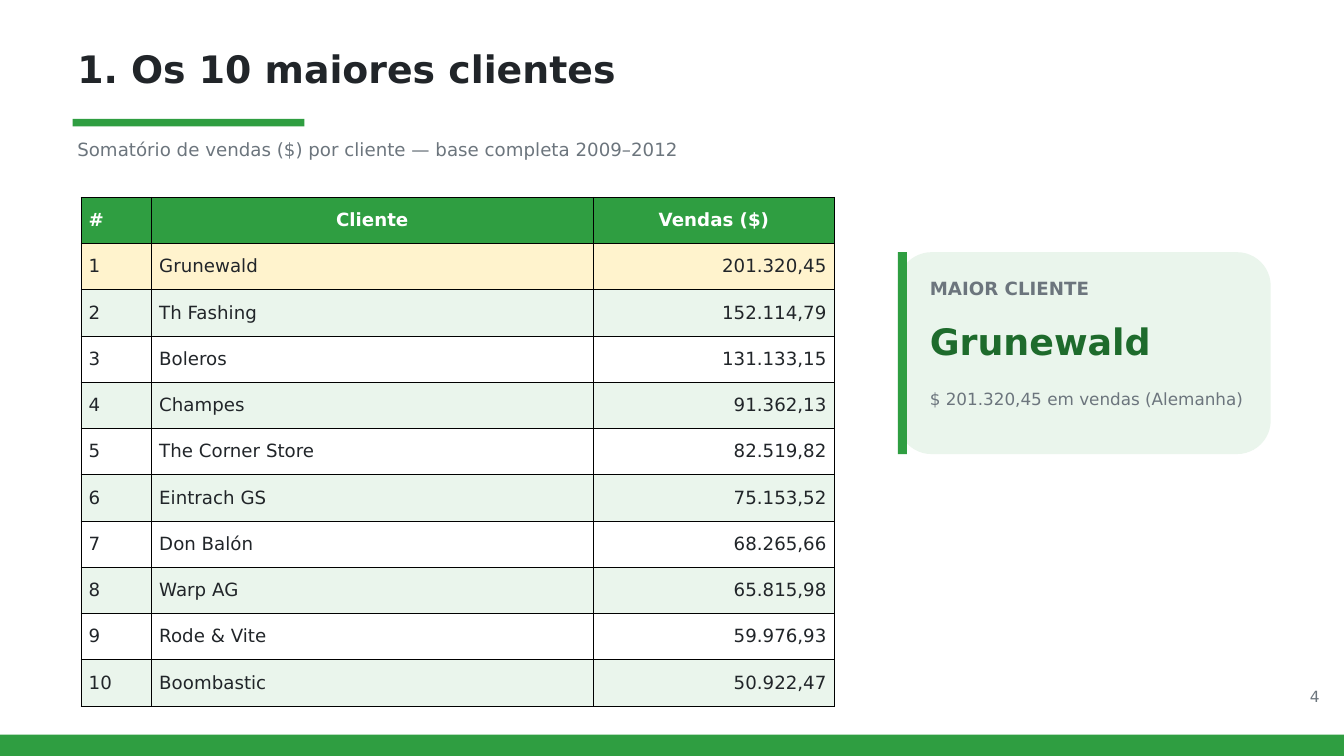
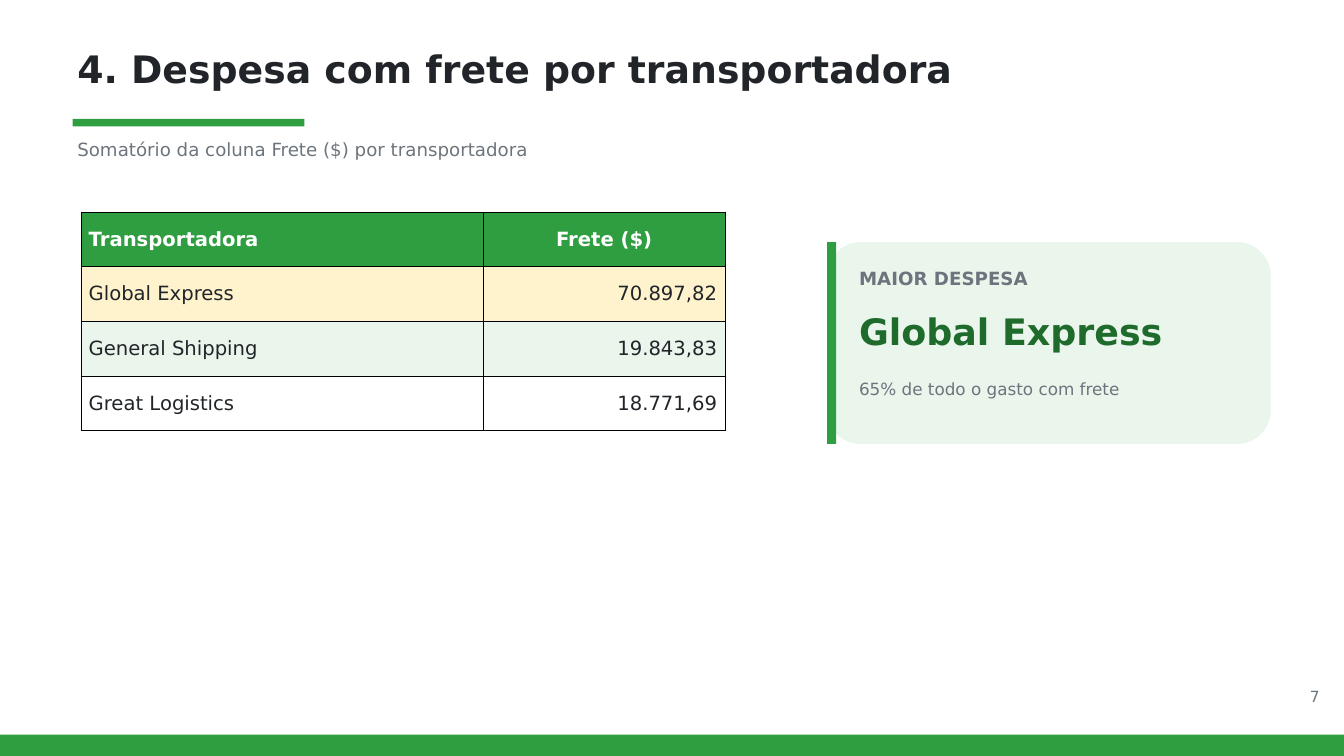
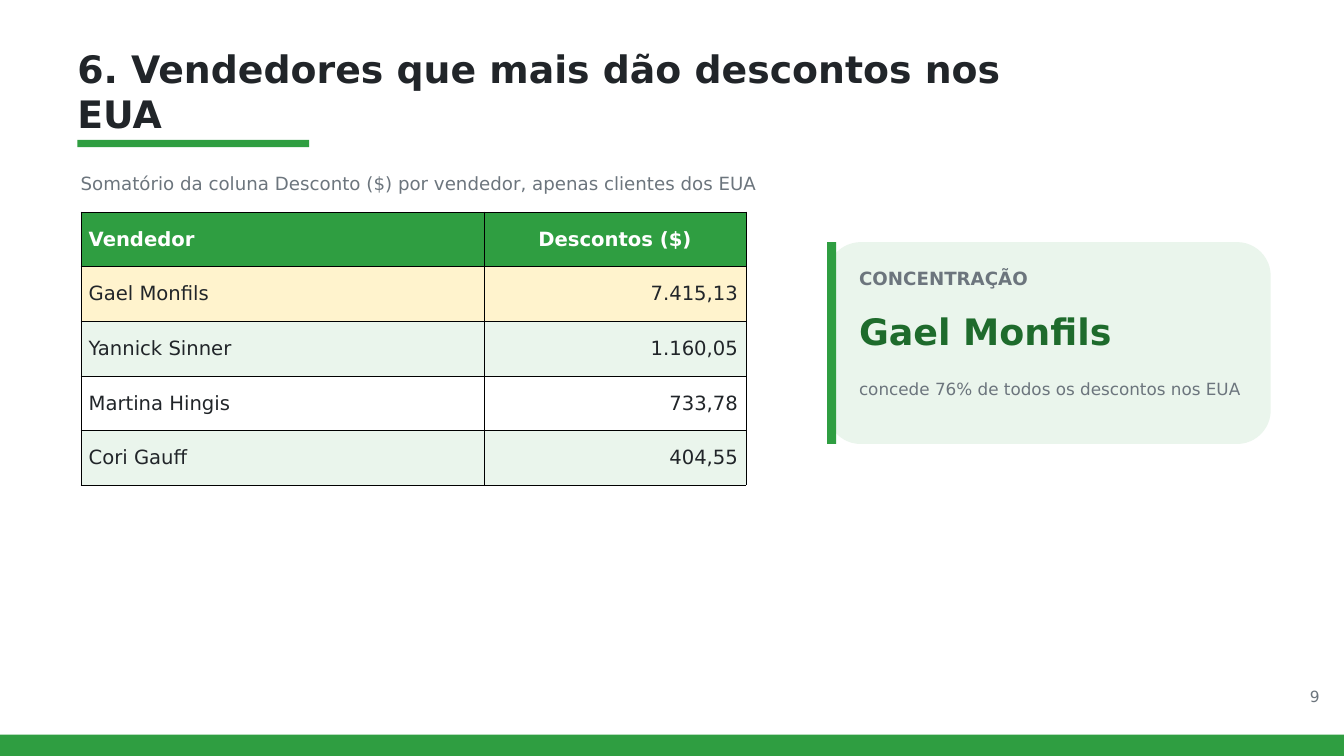
from dataclasses import dataclass

from lxml.etree import SubElement
from pptx import Presentation
from pptx.dml.color import RGBColor
from pptx.enum.shapes import MSO_SHAPE as Preset
from pptx.enum.text import MSO_ANCHOR as Anchor, PP_ALIGN as Align
from pptx.oxml.ns import qn
from pptx.util import Pt


@dataclass(frozen=True)
class Theme:
    font: str = "DejaVu Sans"
    green: str = "2F9E41"
    dark_green: str = "1E6B2C"
    tint: str = "EAF5EC"
    highlight: str = "FFF3CD"
    white: str = "FFFFFF"
    ink: str = "212529"
    muted: str = "6C757D"
    border: str = "000000"
    title_size: float = 40.5
    figure_size: float = 39
    label_size: float = 19.5
    detail_size: float = 18
    page_size: float = 16.5
    line_spacing: float = 1.2
    border_width: float = 0.37


THEME = Theme()
SLIDE_WIDTH, SLIDE_HEIGHT = 1440, 810
FOOTER_TOP = 787
TABLE_LEFT = 86.4
CELL_MARGIN = 8.64
CARD_RIGHT, CARD_HEIGHT, CARD_RADIUS = 1361.5, 216.3, 36
CARD_BAR_WIDTH, CARD_PADDING = 9.8, 34.2


def style_paragraph(paragraph, size, color, bold=False, align=Align.LEFT):
    paragraph.alignment = align
    paragraph.line_spacing = Pt(size * THEME.line_spacing)
    for run in paragraph.runs:
        run.font.name = THEME.font
        run.font.size = Pt(size)
        run.font.bold = bold
        run.font.color.rgb = RGBColor.from_string(color)


def add_text(slide, text, left, top, width, height, size, color,
             bold=False, align=Align.LEFT):
    box = slide.shapes.add_textbox(Pt(left), Pt(top), Pt(width), Pt(height))
    frame = box.text_frame
    frame.word_wrap = True
    frame.margin_left = frame.margin_right = 0
    frame.margin_top = frame.margin_bottom = 0
    frame.text = text
    style_paragraph(frame.paragraphs[0], size, color, bold, align)


def add_block(slide, left, top, width, height, color, preset=Preset.RECTANGLE):
    shape = slide.shapes.add_shape(
        preset, Pt(left), Pt(top), Pt(width), Pt(height))
    shape.shadow.inherit = False
    shape.fill.solid()
    shape.fill.fore_color.rgb = RGBColor.from_string(color)
    shape.line.fill.background()
    return shape


def add_frame(slide, title, subtitle, page, rule_at=(77.8, 127.4),
              subtitle_at=(82.8, 148.3)):
    add_text(slide, title, 82.8, 49, 1023, 90,
             THEME.title_size, THEME.ink, bold=True)
    add_block(slide, *rule_at, 248.4, 7.9, THEME.green)
    add_text(slide, subtitle, *subtitle_at, 1174.3, 46.8,
             THEME.label_size, THEME.muted)
    add_block(slide, 0, FOOTER_TOP, SLIDE_WIDTH, SLIDE_HEIGHT - FOOTER_TOP,
              THEME.green)
    add_text(slide, page, 1342, 736.6, 72, 36,
             THEME.page_size, THEME.muted, align=Align.RIGHT)


def add_borders(cell):
    properties = cell._tc.get_or_add_tcPr()
    for side in ("a:lnL", "a:lnR", "a:lnT", "a:lnB"):
        line = SubElement(properties, qn(side), w=str(Pt(THEME.border_width)))
        fill = SubElement(line, qn("a:solidFill"))
        SubElement(fill, qn("a:srgbClr"), val=THEME.border)


def row_color(row):
    if row < 2:
        return (THEME.green, THEME.highlight)[row]
    return THEME.white if row % 2 else THEME.tint


def cell_align(row, column, last_column):
    if column == 0:
        return Align.LEFT
    if row == 0:
        return Align.CENTER
    return Align.RIGHT if column == last_column else Align.LEFT


def fill_cell(cell, text, row, size, align):
    cell.margin_left = cell.margin_right = Pt(CELL_MARGIN)
    cell.margin_top = cell.margin_bottom = Pt(CELL_MARGIN)
    cell.vertical_anchor = Anchor.MIDDLE
    add_borders(cell)
    cell.fill.solid()
    cell.fill.fore_color.rgb = RGBColor.from_string(row_color(row))
    cell.text_frame.text = text
    header = row == 0
    style_paragraph(cell.text_frame.paragraphs[0], size,
                    THEME.white if header else THEME.ink, header, align)


def add_ranking(slide, rows, top, widths, row_height, size):
    table = slide.shapes.add_table(
        len(rows), len(widths), Pt(TABLE_LEFT), Pt(top),
        Pt(sum(widths)), Pt(row_height * len(rows))).table
    table.horz_banding = False
    for column, width in zip(table.columns, widths):
        column.width = Pt(width)
    for r, values in enumerate(rows):
        table.rows[r].height = Pt(row_height)
        for c, value in enumerate(values):
            fill_cell(table.cell(r, c), value, r, size,
                      cell_align(r, c, len(widths) - 1))


def add_card(slide, left, top, label, figure, detail):
    width = CARD_RIGHT - left
    card = add_block(slide, left, top, width, CARD_HEIGHT, THEME.tint,
                     Preset.ROUNDED_RECTANGLE)
    card.adjustments[0] = CARD_RADIUS / CARD_HEIGHT
    add_block(slide, left, top, CARD_BAR_WIDTH, CARD_HEIGHT, THEME.green)
    lines = (
        (label, 27.4, 41.8, THEME.label_size, THEME.muted, True),
        (figure, 71.3, 67.7, THEME.figure_size, THEME.dark_green, True),
        (detail, 146.2, 46.8, THEME.detail_size, THEME.muted, False),
    )
    for text, offset, height, size, color, bold in lines:
        add_text(slide, text, left + CARD_PADDING, top + offset,
                 width - 57.6, height, size, color, bold)


def build_customers(slide):
    add_frame(slide, "1. Os 10 maiores clientes",
              "Somatório de vendas ($) por cliente — base completa 2009–2012",
              "4")
    customers = [
        ("Grunewald", "201.320,45"),
        ("Th Fashing", "152.114,79"),
        ("Boleros", "131.133,15"),
        ("Champes", "91.362,13"),
        ("The Corner Store", "82.519,82"),
        ("Eintrach GS", "75.153,52"),
        ("Don Balón", "68.265,66"),
        ("Warp AG", "65.815,98"),
        ("Rode & Vite", "59.976,93"),
        ("Boombastic", "50.922,47"),
    ]
    rows = [("#", "Cliente", "Vendas ($)")]
    rows += [(str(rank), *customer)
             for rank, customer in enumerate(customers, start=1)]
    add_ranking(slide, rows, 211, (75.6, 473.8, 258.5), 49.55, 19.5)
    add_card(slide, 962, 270.2, "MAIOR CLIENTE", "Grunewald",
             "$ 201.320,45 em vendas (Alemanha)")


def build_freight(slide):
    add_frame(slide, "4. Despesa com frete por transportadora",
              "Somatório da coluna Frete ($) por transportadora", "7")
    rows = [
        ("Transportadora", "Frete ($)"),
        ("Global Express", "70.897,82"),
        ("General Shipping", "19.843,83"),
        ("Great Logistics", "18.771,69"),
    ]
    add_ranking(slide, rows, 226.8, (431.3, 259.2), 58.6, 21)
    add_card(slide, 886.2, 259.4, "MAIOR DESPESA", "Global Express",
             "65% de todo o gasto com frete")


def build_discounts(slide):
    add_frame(slide, "6. Vendedores que mais dão descontos nos EUA",
              "Somatório da coluna Desconto ($) por vendedor, "
              "apenas clientes dos EUA", "9",
              rule_at=(82.8, 149.8), subtitle_at=(86.4, 184.3))
    rows = [
        ("Vendedor", "Descontos ($)"),
        ("Gael Monfils", "7.415,13"),
        ("Yannick Sinner", "1.160,05"),
        ("Martina Hingis", "733,78"),
        ("Cori Gauff", "404,55"),
    ]
    add_ranking(slide, rows, 226.8, (432, 280.8), 58.6, 21)
    add_card(slide, 886.2, 259.4, "CONCENTRAÇÃO", "Gael Monfils",
             "concede 76% de todos os descontos nos EUA")


def main():
    presentation = Presentation()
    presentation.slide_width = Pt(SLIDE_WIDTH)
    presentation.slide_height = Pt(SLIDE_HEIGHT)
    blank = presentation.slide_layouts[6]
    for build in (build_customers, build_freight, build_discounts):
        build(presentation.slides.add_slide(blank))
    presentation.save("out.pptx")


if __name__ == "__main__":
    main()
